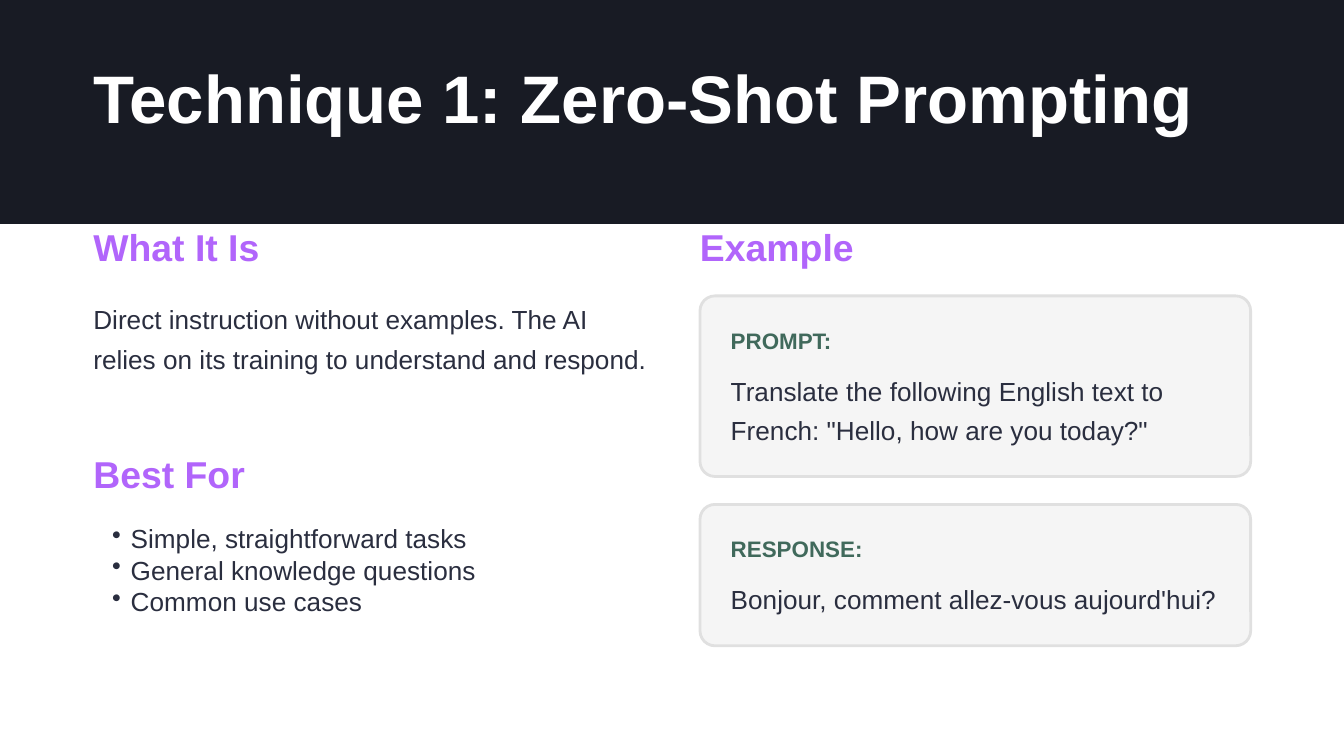
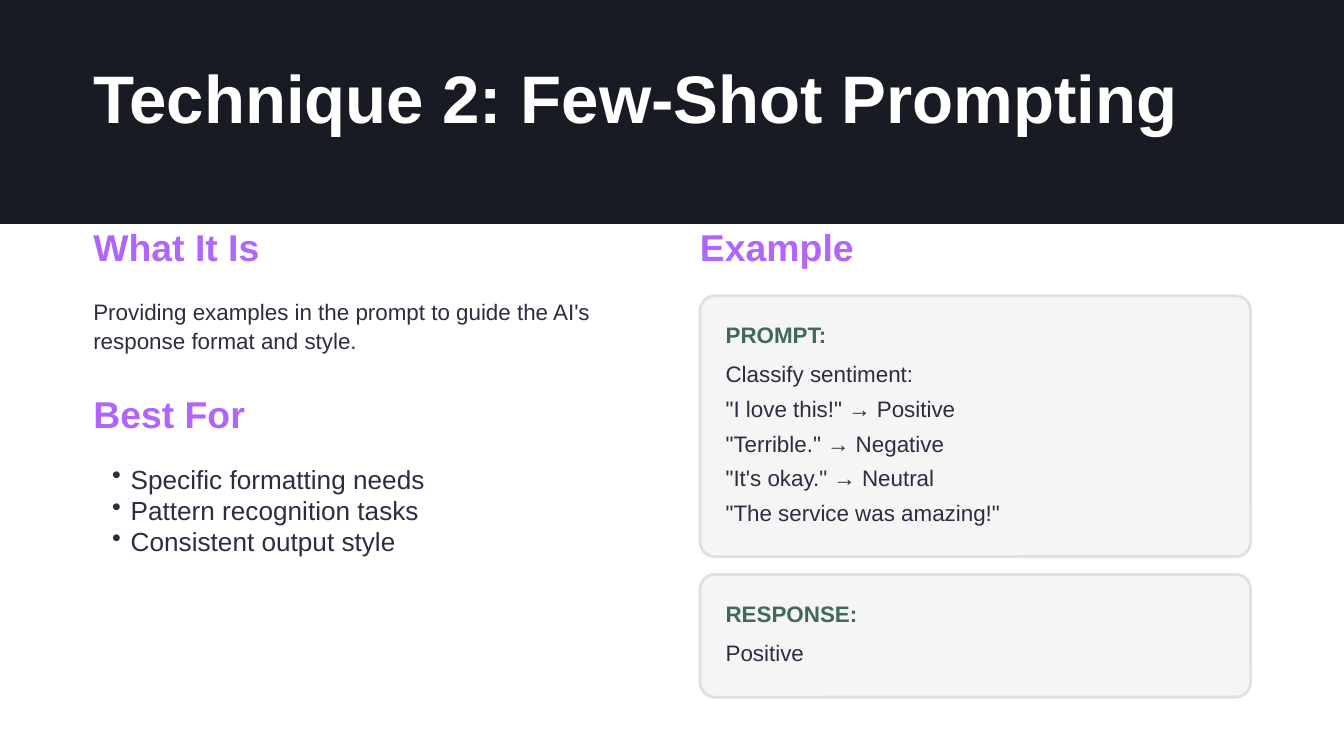
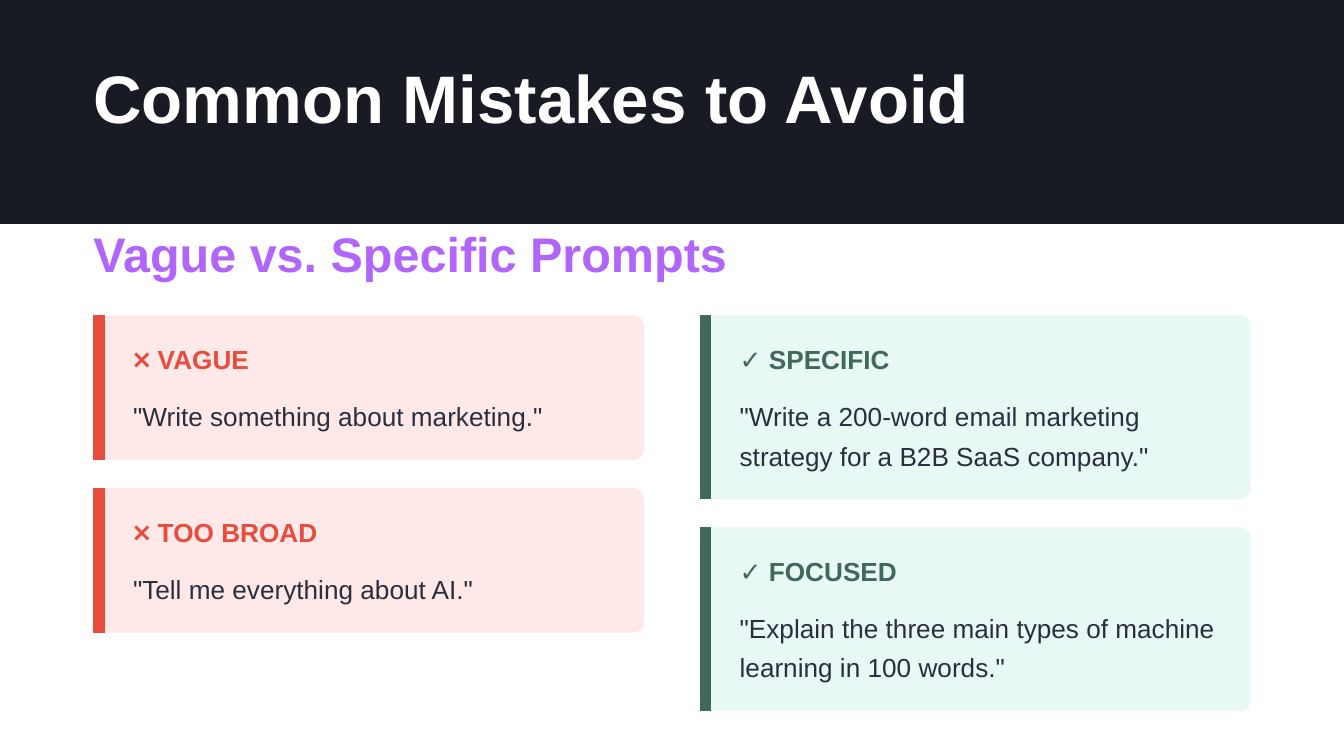
from dataclasses import dataclass

from lxml import etree
from pptx import Presentation
from pptx.dml.color import RGBColor
from pptx.enum.shapes import MSO_CONNECTOR, MSO_SHAPE
from pptx.oxml.ns import qn
from pptx.util import Pt

RECT = MSO_SHAPE.RECTANGLE
ROUNDED = MSO_SHAPE.ROUNDED_RECTANGLE
STRAIGHT = MSO_CONNECTOR.STRAIGHT

NIGHT = RGBColor(0x18, 0x1B, 0x24)
WHITE = RGBColor(0xFF, 0xFF, 0xFF)
PURPLE = RGBColor(0xB1, 0x65, 0xFB)
INK = RGBColor(0x2A, 0x2E, 0x3F)
GREEN = RGBColor(0x40, 0x69, 0x5B)
RED = RGBColor(0xE7, 0x4C, 0x3C)
PALE_GRAY = RGBColor(0xF5, 0xF5, 0xF5)
BORDER_GRAY = RGBColor(0xE0, 0xE0, 0xE0)
PALE_RED = RGBColor(0xFF, 0xE8, 0xE8)
PALE_GREEN = RGBColor(0xE8, 0xF8, 0xF5)

FONT = "Arial"
CELL = 5  # points per grid cell, both ways
COLUMNS, ROWS = 144, 81
LEFT, RIGHT = 10, 75  # first column of each half
HALF = 59
BAND_ROWS = 24
CONTENT_TOP = 31.7
HEADING_STEP = CONTENT_TOP - BAND_ROWS
TEXT_SLACK = 1.02  # text boxes run slightly wider than their area


def grid(cells):
    return Pt(cells * CELL)


@dataclass(frozen=True)
class CardStyle:
    """Lengths are grid cells; text sizes and spacing are points."""
    pad_left: float
    pad: float
    radius: float
    label_rows: float
    label_size: float
    label_after: float
    body_size: float
    leading: float
    pitch: float
    body_after: float = 0
    fill: RGBColor = PALE_GRAY
    accent: RGBColor = GREEN
    bar: bool = False


ROOMY = CardStyle(3.3, 3.3, 1.6, 2.75, 12, 8, 14, 21, 4.2)
COMPACT = CardStyle(2.75, 2.75, 1.6, 2.75, 12, 6, 12, 15.6, 3.7, 3)
BAD = CardStyle(4.25, 3, 1.2, 3.3, 14, 10, 14, 21, 4.2,
                fill=PALE_RED, accent=RED, bar=True)
GOOD = CardStyle(4.25, 3, 1.2, 3.3, 14, 10, 14, 21, 4.2,
                 fill=PALE_GREEN, bar=True)


class Deck:
    def __init__(self):
        self.presentation = Presentation()
        self.presentation.slide_width = grid(COLUMNS)
        self.presentation.slide_height = grid(ROWS)
        self.slide = None

    def start_slide(self, title):
        blank = self.presentation.slide_layouts[6]
        self.slide = self.presentation.slides.add_slide(blank)
        self.panel(RECT, 0, 0, COLUMNS, BAND_ROWS, NIGHT)
        self.text(title, LEFT, 6, COLUMNS - LEFT, 8.2,
                  size=36, color=WHITE, bold=True)

    def panel(self, preset, left, top, width, height, fill, border=None):
        panel = self.slide.shapes.add_shape(
            preset, grid(left), grid(top), grid(width), grid(height))
        panel.shadow.inherit = False
        panel.fill.solid()
        panel.fill.fore_color.rgb = fill
        if border is None:
            panel.line.fill.background()
        else:
            panel.line.color.rgb = border
            panel.line.width = Pt(1.5)
        return panel

    def text(self, content, left, top, width, height, *, size=14, color=INK,
             bold=False, leading=None, after=None, bullets=False):
        """Write one paragraph for each line of content."""
        box = self.slide.shapes.add_textbox(
            grid(left), grid(top), grid(width), grid(height))
        frame = box.text_frame
        frame.word_wrap = True
        frame.margin_top = frame.margin_right = frame.margin_bottom = 0
        frame.margin_left = grid(2) if bullets else 0
        frame.text = content
        for paragraph in frame.paragraphs:
            if leading is not None:
                paragraph.line_spacing = Pt(leading)
            if after is not None:
                paragraph.space_after = Pt(after)
            font = paragraph.runs[0].font
            font.name, font.size, font.bold = FONT, Pt(size), bold
            font.color.rgb = color
            if bullets:
                properties = paragraph._p.get_or_add_pPr()
                properties.set("marL", str(grid(2)))
                properties.set("indent", str(-grid(2)))
                etree.SubElement(properties, qn("a:buChar"), char="•")

    def heading(self, content, left, top=BAND_ROWS):
        self.text(content, left, top, HALF * TEXT_SLACK, 4.6,
                  size=20, color=PURPLE, bold=True, after=15)

    def bar(self, left, top, height, color):
        center = grid(left + 0.6)
        bar = self.slide.shapes.add_connector(
            STRAIGHT, center, grid(top), center, grid(top + height))
        bar.line.color.rgb = color
        bar.line.width = Pt(6)
        etree.SubElement(bar._element.spPr, qn("a:effectLst"))

    def card(self, style, left, top, label, bodies, rows=1):
        """Draw a labelled card, each body taking the given rows; return its bottom."""
        body_top = style.pad + style.label_rows + style.label_after / CELL
        body_step = rows * style.pitch
        height = body_top + len(bodies) * body_step + style.pad
        panel = self.panel(ROUNDED, left, top, HALF, height, style.fill,
                           None if style.bar else BORDER_GRAY)
        panel.adjustments[0] = style.radius / height
        if style.bar:
            self.bar(left, top, height, style.accent)
        text_left = left + style.pad_left
        text_width = (HALF - style.pad_left - style.pad) * TEXT_SLACK
        self.text(label, text_left, top + style.pad, text_width,
                  style.label_rows, size=style.label_size,
                  color=style.accent, bold=True, after=style.label_after)
        for index, body in enumerate(bodies):
            self.text(body, text_left, top + body_top + index * body_step,
                      text_width, body_step - style.body_after / CELL,
                      size=style.body_size, leading=style.leading,
                      after=style.body_after)
        return top + height

    def card_stack(self, style, left, top, gap, cards):
        for label, bodies, rows in cards:
            top = self.card(style, left, top, label, bodies, rows) + gap

    def technique(self, title, definition, definition_rows, uses, style, gap,
                  cards):
        self.start_slide(title)
        self.heading("What It Is", LEFT)
        self.text(definition, LEFT, CONTENT_TOP, HALF * TEXT_SLACK,
                  definition_rows, size=style.body_size,
                  leading=style.leading, after=20)
        uses_top = CONTENT_TOP + definition_rows + 4
        self.heading("Best For", LEFT, uses_top)
        self.text("\n".join(uses), LEFT, uses_top + HEADING_STEP, HALF, 10,
                  bullets=True)
        self.heading("Example", RIGHT)
        self.card_stack(style, RIGHT, CONTENT_TOP, gap, cards)


def main():
    deck = Deck()

    deck.technique(
        "Technique 1: Zero-Shot Prompting",
        "Direct instruction without examples. The AI relies on its training "
        "to understand and respond.", 12.6,
        ["Simple, straightforward tasks", "General knowledge questions",
         "Common use cases"],
        ROOMY, 3,
        [("PROMPT:", ["Translate the following English text to French: "
                      '"Hello, how are you today?"'], 2),
         ("RESPONSE:", ["Bonjour, comment allez-vous aujourd'hui?"], 1)])

    deck.technique(
        "Technique 2: Few-Shot Prompting",
        "Providing examples in the prompt to guide the AI's response format "
        "and style.", 6.2,
        ["Specific formatting needs", "Pattern recognition tasks",
         "Consistent output style"],
        COMPACT, 1.9,
        [("PROMPT:", ["Classify sentiment:", '"I love this!" → Positive',
                      '"Terrible." → Negative', '"It\'s okay." → Neutral',
                      '"The service was amazing!"'], 1),
         ("RESPONSE:", ["Positive"], 1)])

    deck.start_slide("Common Mistakes to Avoid")
    deck.text("Vague vs. Specific Prompts", LEFT, BAND_ROWS, 126.4, 5.9,
              size=26, color=PURPLE, bold=True, after=20)
    comparison_top, comparison_gap = 33.8, 3
    deck.card_stack(BAD, LEFT, comparison_top, comparison_gap, [
        ("❌ VAGUE", ['"Write something about marketing."'], 1),
        ("❌ TOO BROAD", ['"Tell me everything about AI."'], 1)])
    deck.card_stack(GOOD, RIGHT, comparison_top, comparison_gap, [
        ("✓ SPECIFIC", ['"Write a 200-word email marketing strategy for a '
                        'B2B SaaS company."'], 2),
        ("✓ FOCUSED", ['"Explain the three main types of machine learning '
                       'in 100 words."'], 2)])

    deck.presentation.save("out.pptx")


if __name__ == "__main__":
    main()
